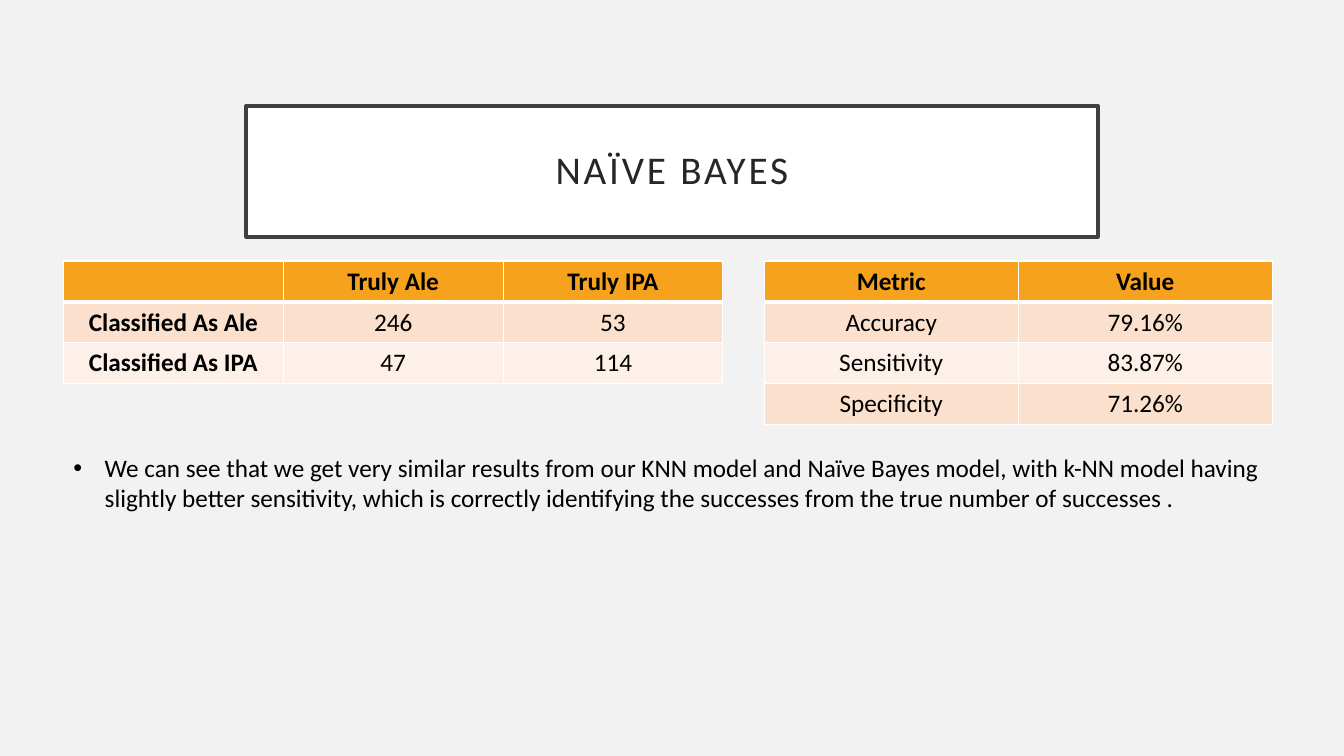
from lxml import etree
from pptx import Presentation
from pptx.dml.color import RGBColor
from pptx.enum.shapes import MSO_SHAPE
from pptx.enum.text import MSO_ANCHOR, MSO_AUTO_SIZE, PP_ALIGN
from pptx.oxml.ns import qn
from pptx.util import Pt

PX = 9144
RECTANGLE = MSO_SHAPE.RECTANGLE
MIDDLE = MSO_ANCHOR.MIDDLE
GROW = MSO_AUTO_SIZE.SHAPE_TO_FIT_TEXT
CENTER = PP_ALIGN.CENTER
FONT = "Calibri"
ROW_HEIGHT = 40
COLORS = {
    "background": "F2F2F2",
    "white": "FFFFFF",
    "frame": "404040",
    "title": "262626",
    "text": "000000",
    "header": "F6A21D",
    "odd_row": "FBE0CD",
    "even_row": "FDF0E8",
}
CONFUSION = [
    ["", "Truly Ale", "Truly IPA"],
    ["Classified As Ale", "246", "53"],
    ["Classified As IPA", "47", "114"],
]
METRICS = [
    ["Metric", "Value"],
    ["Accuracy", "79.16%"],
    ["Sensitivity", "83.87%"],
    ["Specificity", "71.26%"],
]
CONCLUSION = (
    "We can see that we get very similar results from our KNN model and "
    "Naïve Bayes model, with k-NN model having slightly better sensitivity, "
    "which is correctly identifying the successes from the true number of successes ."
)


def color(key):
    """Return the named colour."""
    return RGBColor.from_string(COLORS[key])


def scaled(box):
    """Turn a box in px into EMU."""
    return [length * PX for length in box]


def style_runs(paragraph, size, color_key, bold=False):
    """Set the font of every run in a paragraph."""
    for run in paragraph.runs:
        run.font.name = FONT
        run.font.size = Pt(size)
        run.font.bold = bold
        run.font.color.rgb = color(color_key)


def add_title(slide, box, title):
    """Draw the framed title with spaced letters."""
    frame = slide.shapes.add_shape(RECTANGLE, *scaled(box))
    frame.shadow.inherit = False
    frame.fill.solid()
    frame.fill.fore_color.rgb = color("white")
    frame.line.color.rgb = color("frame")
    frame.line.width = Pt(2.5)
    content = frame.text_frame
    content.word_wrap = True
    content.vertical_anchor = MIDDLE
    content.margin_left = content.margin_right = 20 * PX
    content.margin_top = content.margin_bottom = 20 * PX
    content.text = title
    heading = content.paragraphs[0]
    heading.alignment = CENTER
    heading.line_spacing = 0.9
    style_runs(heading, 28, "title")
    heading.runs[0].font._element.set("spc", "200")


def add_borders(cell, bottom_width):
    """Give a cell white borders, with its own bottom width in points."""
    properties = cell._tc.get_or_add_tcPr()
    for side, width in (("L", 1), ("R", 1), ("T", 1), ("B", bottom_width)):
        border = etree.SubElement(properties, qn(f"a:ln{side}"), w=str(Pt(width)))
        fill = etree.SubElement(border, qn("a:solidFill"))
        etree.SubElement(fill, qn("a:srgbClr"), val=COLORS["white"])


def add_results(slide, box, rows, bold_labels=False):
    """Draw a banded table with equal columns and a header row."""
    left, top, width = box
    column_count = len(rows[0])
    table = slide.shapes.add_table(
        len(rows), column_count, *scaled((left, top, width, ROW_HEIGHT * len(rows)))
    ).table
    for column in table.columns:
        column.width = width * PX // column_count
    for row_index, values in enumerate(rows):
        is_header = row_index == 0
        band = "header" if is_header else "odd_row" if row_index % 2 else "even_row"
        for column_index, value in enumerate(values):
            cell = table.cell(row_index, column_index)
            add_borders(cell, 3 if is_header or row_index == 0 else 1)
            if row_index == 1:
                cell._tc.tcPr.find(qn("a:lnT")).set("w", str(Pt(3)))
            cell.fill.solid()
            cell.fill.fore_color.rgb = color(band)
            cell.text = value
            entry = cell.text_frame.paragraphs[0]
            entry.alignment = CENTER
            is_label = bold_labels and column_index == 0
            style_runs(entry, 18, "text", is_header or is_label)


def add_conclusion(slide, box, text):
    """Write the bulleted conclusion with a hanging indent."""
    content = slide.shapes.add_textbox(*scaled(box)).text_frame
    content.word_wrap = True
    content.auto_size = GROW
    content.text = text
    bullet_point = content.paragraphs[0]
    properties = bullet_point._p.get_or_add_pPr()
    properties.set("marL", str(31 * PX))
    properties.set("indent", str(-31 * PX))
    etree.SubElement(properties, qn("a:buFont"), typeface="Arial")
    etree.SubElement(properties, qn("a:buChar"), char="•")
    style_runs(bullet_point, 18, "text")


def build_results_slide(presentation):
    """Place the title, both tables and the conclusion."""
    slide = presentation.slides.add_slide(presentation.slide_layouts[6])
    slide.background.fill.solid()
    slide.background.fill.fore_color.rgb = color("background")
    add_title(slide, (244, 105, 845, 130), "NAÏVE BAYES")
    add_results(slide, (63, 259, 654), CONFUSION, bold_labels=True)
    add_results(slide, (758, 259, 504), METRICS)
    add_conclusion(slide, (63, 444, 1198, 71), CONCLUSION)


def main():
    """Build and save the presentation."""
    presentation = Presentation()
    presentation.slide_width, presentation.slide_height = scaled((1333, 750))
    build_results_slide(presentation)
    presentation.save("out.pptx")


if __name__ == "__main__":
    main()
